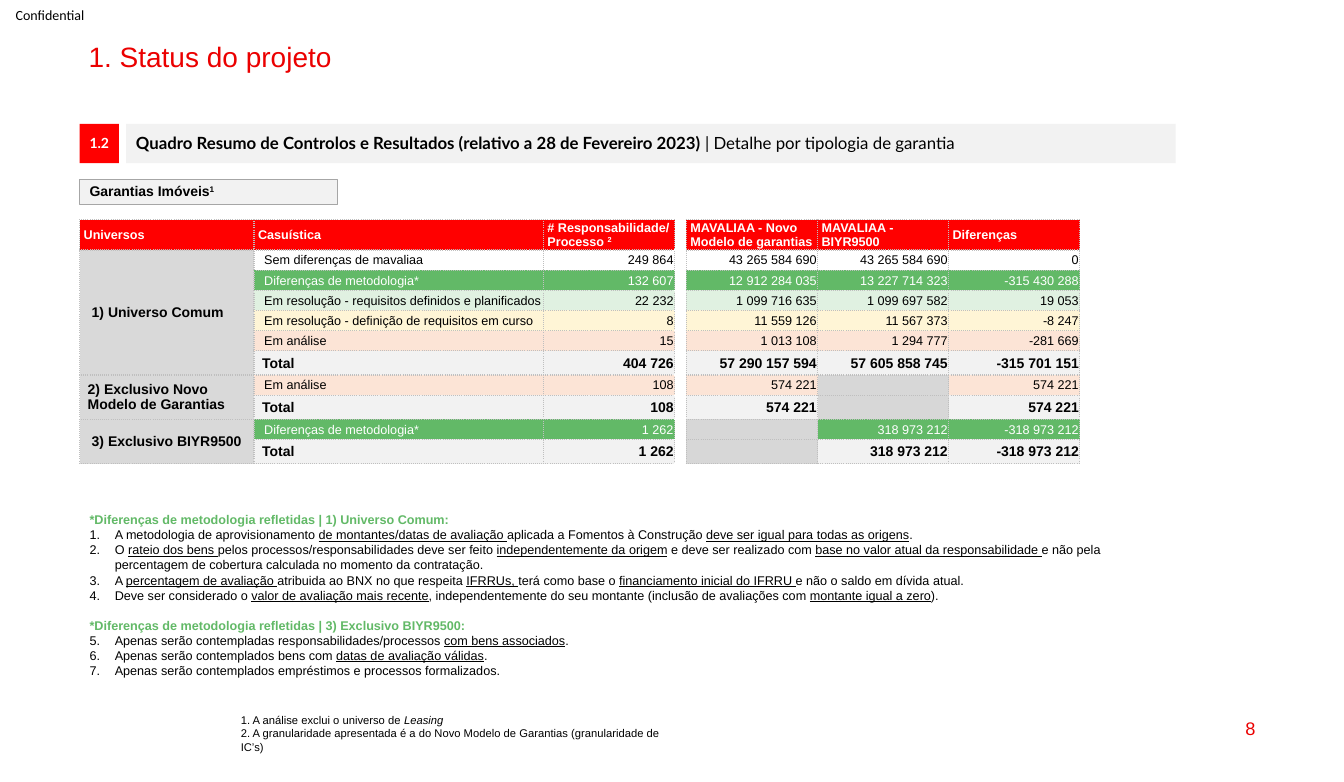
"""Build the project status slide with the guarantee control table."""
from dataclasses import dataclass
from typing import NamedTuple

from lxml.etree import SubElement
from pptx import Presentation
from pptx.dml.color import RGBColor
from pptx.enum.shapes import MSO_SHAPE as Kind
from pptx.enum.text import MSO_ANCHOR as Anchor, PP_ALIGN as Align
from pptx.oxml.ns import qn
from pptx.util import Inches, Pt


@dataclass(frozen=True)
class Theme:
    black: str = "000000"
    white: str = "FFFFFF"
    brand: str = "EB0000"
    red: str = "FF0000"
    pale: str = "F2F2F2"
    edge: str = "A6A6A6"
    rule: str = "BFBFBF"
    side: str = "D9D9D9"
    void: str = "D7D7D7"
    green: str = "62B967"
    mint: str = "E0F1E1"
    sand: str = "FFF5D6"
    peach: str = "FCE4D6"
    title: float = 20
    page: float = 13
    head: float = 12
    base: float = 10
    small: float = 9
    note: float = 8


THEME = Theme()


class Style(NamedTuple):
    size: float
    color: str = THEME.black
    bold: bool = False
    face: str = "Arial"
    align: Align = Align.LEFT
    lead: float = 1.0
    mark: str = ""


class Box(NamedTuple):
    left: float
    top: float
    width: float
    height: float
    text: str
    style: Style
    anchor: Anchor = Anchor.MIDDLE
    fill: str = ""
    line: str = ""
    pad: tuple = (0.1, 0.05, 0.1, 0.05)


class Row(NamedTuple):
    label: str
    fill: str
    values: tuple
    ink: str = THEME.black
    total: bool = False


class Group(NamedTuple):
    first: int
    last: int
    text: str
    inset: float


class Notes(NamedTuple):
    head: str
    start: int
    items: tuple


BOXES = (
    Box(0, 0, 0.99, 0.29, "Confidential",
        Style(THEME.base, face="Calibri", align=Align.CENTER), pad=(0, 0, 0, 0)),
    Box(0.78, 0.38, 11.77, 0.34, "1. Status do projeto",
        Style(THEME.title, THEME.brand, lead=0.9), Anchor.TOP),
    Box(9.55, 7.02, 3, 0.41, "8", Style(THEME.page, THEME.brand, align=Align.RIGHT)),
    Box(0.79, 1.23, 0.39, 0.39, "1.2",
        Style(THEME.base, THEME.white, True, "Lato", Align.CENTER, 0.9), fill=THEME.red),
    Box(1.25, 1.23, 10.41, 0.39,
        "~Quadro Resumo de Controlos e Resultados (relativo a 28 de Fevereiro 2023) ~"
        "| Detalhe por tipologia de garantia",
        Style(THEME.head, face="Lato", lead=0.9, mark="bold"), fill=THEME.pale),
    Box(0.79, 1.78, 2.56, 0.25, "Garantias Imóveis~1~",
        Style(THEME.base, bold=True, lead=0.9, mark="super"),
        fill=THEME.pale, line=THEME.edge),
    Box(2.29, 7.03, 4.37, 0.37,
        "1. A análise exclui o universo de ~Leasing~\n2. A granularidade apresentada "
        "é a do Novo Modelo de Garantias (granularidade de IC’s)",
        Style(THEME.note, mark="italic"), Anchor.TOP),
)

COLS = (1.73, 2.87, 1.3, 0.11, 1.3, 1.3, 1.3)
GAP = 3
HEADS = ("Universos", "Casuística", "# Responsabilidade/\nProcesso ~2~", "",
         "MAVALIAA - Novo Modelo de garantias", "MAVALIAA - BIYR9500", "Diferenças")
ROWS = (
    Row("Sem diferenças de mavaliaa", "",
        ("249 864", "43 265 584 690", "43 265 584 690", "0")),
    Row("Diferenças de metodologia*", THEME.green,
        ("132 607", "12 912 284 035", "13 227 714 323", "-315 430 288"), THEME.white),
    Row("Em resolução - requisitos definidos e planificados", THEME.mint,
        ("22 232", "1 099 716 635", "1 099 697 582", "19 053")),
    Row("Em resolução - definição de requisitos em curso", THEME.sand,
        ("8", "11 559 126", "11 567 373", "-8 247")),
    Row("Em análise", THEME.peach, ("15", "1 013 108", "1 294 777", "-281 669")),
    Row("Total", THEME.pale,
        ("404 726", "57 290 157 594", "57 605 858 745", "-315 701 151"), total=True),
    Row("Em análise", THEME.peach, ("108", "574 221", "", "574 221")),
    Row("Total", THEME.pale, ("108", "574 221", "", "574 221"), total=True),
    Row("Diferenças de metodologia*", THEME.green,
        ("1 262", "", "318 973 212", "-318 973 212"), THEME.white),
    Row("Total", THEME.pale, ("1 262", "", "318 973 212", "-318 973 212"), total=True),
)
GROUPS = (
    Group(1, 6, "1) Universo Comum", 0.12),
    Group(7, 8, "2) Exclusivo Novo\nModelo de Garantias", 0.08),
    Group(9, 10, "3) Exclusivo BIYR9500", 0.12),
)
NOTES = (
    Notes("*Diferenças de metodologia refletidas | 1) Universo Comum:", 1, (
        "A metodologia de aprovisionamento ~de montantes/datas de avaliação ~aplicada a "
        "Fomentos à Construção ~deve ser igual para todas as origens~.",
        "O ~rateio dos bens ~pelos processos/responsabilidades deve ser feito "
        "~independentemente da origem~ e deve ser realizado com ~base no valor atual da "
        "responsabilidade ~e não pela percentagem de cobertura calculada no momento da "
        "contratação.",
        "A ~percentagem de avaliação ~atribuida ao BNX no que respeita ~IFRRUs, ~terá "
        "como base o ~financiamento inicial do IFRRU ~e não o saldo em dívida atual.",
        "Deve ser considerado o ~valor de avaliação mais recente~, independentemente do "
        "seu montante (inclusão de avaliações com ~montante igual a zero~).")),
    Notes("*Diferenças de metodologia refletidas | 3) Exclusivo BIYR9500:", 5, (
        "Apenas serão contempladas responsabilidades/processos ~com bens associados~.",
        "Apenas serão contemplados bens com ~datas de avaliação válidas~.",
        "Apenas serão contemplados empréstimos e processos formalizados.")),
)


def write(para, text: str, style: Style) -> None:
    """Write one paragraph, giving the parts between tildes the style's mark."""
    font = para.font
    font.name, font.size, font.bold = style.face, Pt(style.size), style.bold
    font.color.rgb = RGBColor.from_string(style.color)
    para.alignment, para.line_spacing = style.align, style.lead
    for i, part in enumerate(text.split("~")):
        if not part:
            continue
        run = para.add_run()
        run.text = part
        if i % 2 and style.mark == "super":
            run.font._element.set("baseline", "30000")
        elif i % 2:
            setattr(run.font, style.mark, True)


def write_all(frame, text: str, style: Style) -> None:
    """Write each line of the text as a paragraph of the frame."""
    for i, line in enumerate(text.split("\n")):
        write(frame.add_paragraph() if i else frame.paragraphs[0], line, style)


def set_pad(target, pad: tuple) -> None:
    """Set the four inner margins of a frame or cell."""
    for side, size in zip(("left", "top", "right", "bottom"), pad):
        setattr(target, f"margin_{side}", Inches(size))


def add_box(slide, box: Box):
    """Draw a text box, or a rectangle when the box has a fill."""
    place = [Inches(n) for n in box[:4]]
    if box.fill:
        shape = slide.shapes.add_shape(Kind.RECTANGLE, *place)
        shape.shadow.inherit = False
        shape.fill.solid()
        shape.fill.fore_color.rgb = RGBColor.from_string(box.fill)
        if box.line:
            shape.line.color.rgb = RGBColor.from_string(box.line)
            shape.line.width = Pt(0.75)
        else:
            shape.line.fill.background()
    else:
        shape = slide.shapes.add_textbox(*place)
    frame = shape.text_frame
    frame.word_wrap, frame.vertical_anchor = True, box.anchor
    set_pad(frame, box.pad)
    write_all(frame, box.text, box.style)
    return shape


def set_cell(cell, text: str, style: Style, fill: str, pad: tuple, sides: str) -> None:
    """Give a table cell its dotted borders, fill and text."""
    props = cell._tc.get_or_add_tcPr()
    for side in sides:
        line = SubElement(props, qn(f"a:ln{side}"), w=str(Pt(1)))
        SubElement(SubElement(line, qn("a:solidFill")), qn("a:srgbClr"), val=THEME.rule)
        SubElement(line, qn("a:prstDash"), val="sysDot")
    if fill:
        cell.fill.solid()
        cell.fill.fore_color.rgb = RGBColor.from_string(fill)
    else:
        cell.fill.background()
    set_pad(cell, pad)
    cell.vertical_anchor = Anchor.MIDDLE
    write_all(cell.text_frame, text, style)
    if not text:
        SubElement(cell.text_frame.paragraphs[0]._p, qn("a:endParaRPr"),
                   sz=str(int(style.size * 100)))


def add_grid(slide) -> None:
    """Draw the control table."""
    highs = [0.26] + [0.24 if row.total else 0.2 for row in ROWS]
    place = [Inches(n) for n in (0.79, 2.18, sum(COLS), sum(highs))]
    grid = slide.shapes.add_table(len(highs), len(COLS), *place).table
    grid.first_row = grid.horz_banding = False
    for col, width in zip(grid.columns, COLS):
        col.width = Inches(width)
    for line, high in zip(grid.rows, highs):
        line.height = Inches(high)
    head = Style(THEME.small, THEME.white, True, mark="super")
    for c, text in enumerate(HEADS):
        set_cell(grid.cell(0, c), text, head, "" if c == GAP else THEME.red,
                 (0.04, 0, 0.04, 0), "LR" if c == GAP else "LRTB")
    for r, row in enumerate(ROWS, 1):
        style = Style(THEME.base if row.total else THEME.small, row.ink, row.total)
        left = 0.08 if row.total else 0.1
        set_cell(grid.cell(r, 1), row.label, style, row.fill, (left, 0.01, 0.01, 0), "LRTB")
        set_cell(grid.cell(r, GAP), "", style, "", (0, 0, 0, 0), "LR")
        for c, value in zip((2, 4, 5, 6), row.values):
            set_cell(grid.cell(r, c), value, style._replace(align=Align.RIGHT),
                     row.fill if value else THEME.void, (0.01, 0.01, 0.01, 0), "LRTB")
    for group in GROUPS:
        for r in range(group.first, group.last + 1):
            set_cell(grid.cell(r, 0), group.text if r == group.first else "",
                     Style(THEME.base, bold=True), THEME.side,
                     (group.inset, 0, 0.04, 0), "LRTB")
        grid.cell(group.first, 0).merge(grid.cell(group.last, 0))


def add_notes(slide) -> None:
    """Draw the numbered notes under their green headings."""
    head = Style(THEME.small, THEME.green, True)
    body = Style(THEME.small, mark="underline")
    frame = add_box(slide, Box(0.79, 5.03, 10.55, 1.82, NOTES[0].head, head,
                               Anchor.TOP)).text_frame
    for i, block in enumerate(NOTES):
        if i:
            para = frame.add_paragraph()
            para.space_before = Pt(10.5)
            write(para, block.head, head)
        for item in block.items:
            para = frame.add_paragraph()
            props = para._p.get_or_add_pPr()
            props.set("marL", str(Inches(0.25)))
            props.set("indent", str(Inches(-0.25)))
            SubElement(props, qn("a:buFont"), typeface="+mj-lt")
            SubElement(props, qn("a:buAutoNum"), type="arabicPeriod", startAt=str(block.start))
            write(para, item, body)


def main() -> None:
    """Build and save the slide."""
    deck = Presentation()
    deck.slide_width, deck.slide_height = Inches(13.33), Inches(7.76)
    slide = deck.slides.add_slide(deck.slide_layouts[6])
    for box in BOXES:
        add_box(slide, box)
    add_grid(slide)
    add_notes(slide)
    deck.save("out.pptx")


if __name__ == "__main__":
    main()
